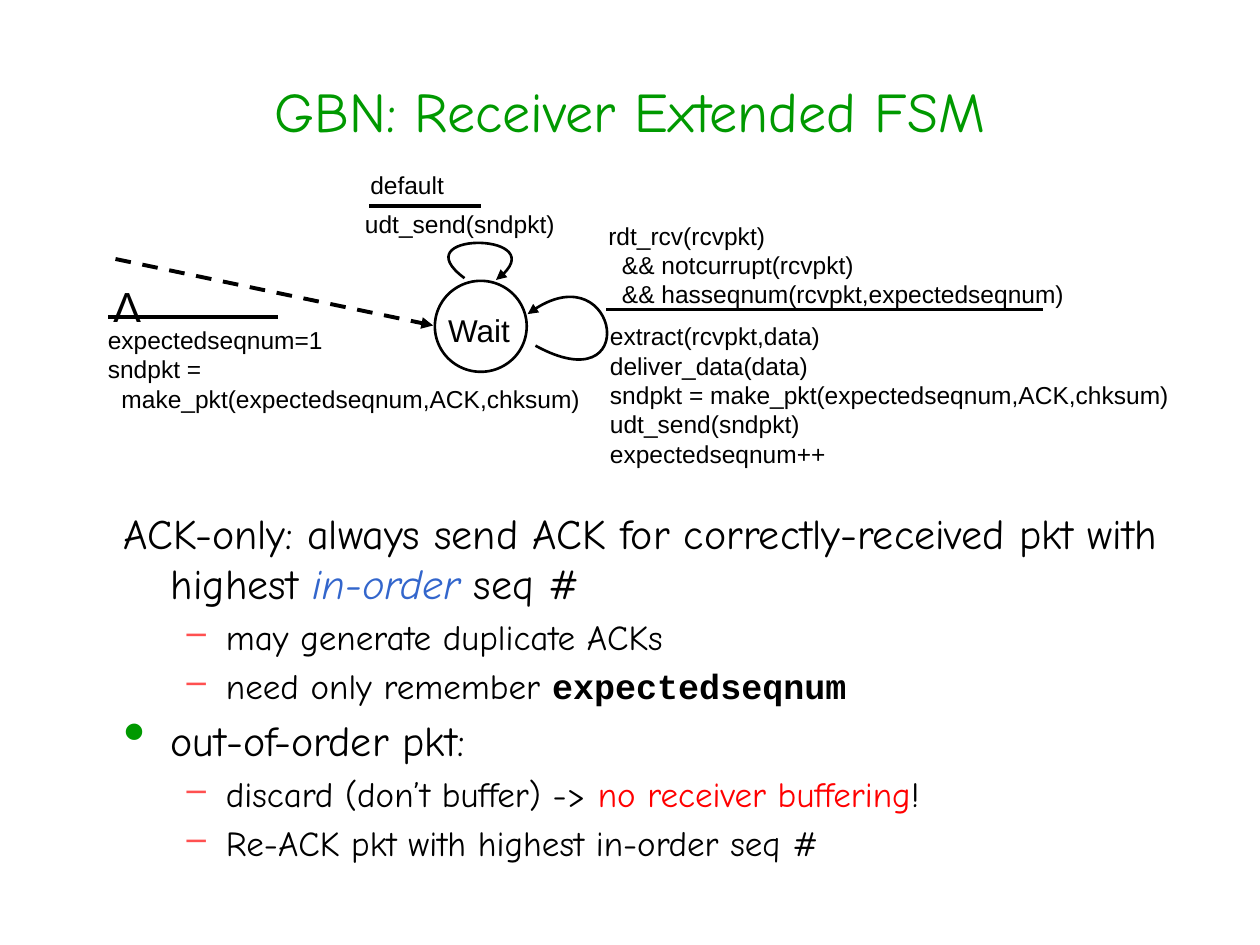
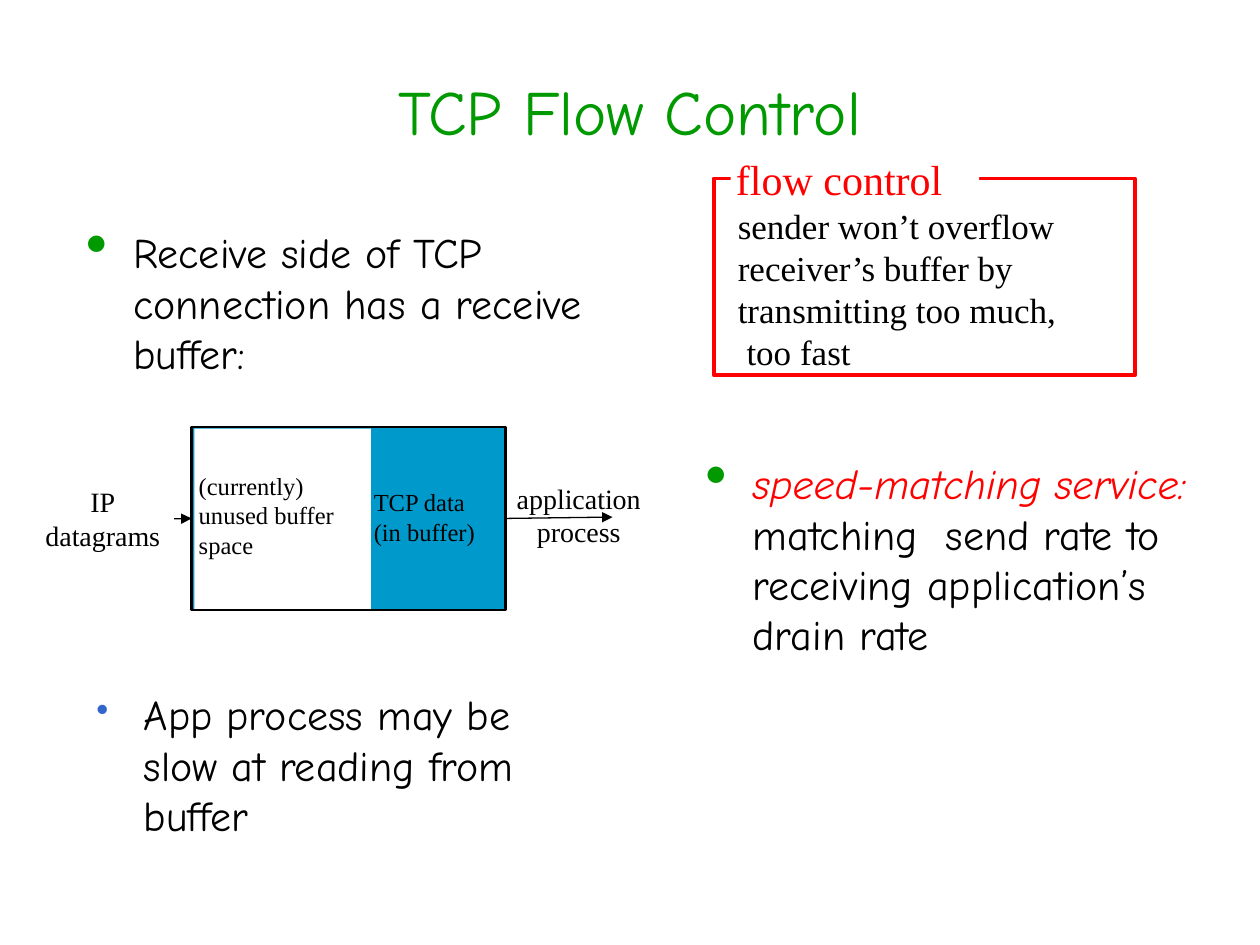
from dataclasses import dataclass
from typing import NamedTuple, Optional, Sequence, Union

from lxml.etree import SubElement
from pptx import Presentation
from pptx.dml.color import RGBColor
from pptx.enum.dml import MSO_LINE
from pptx.enum.shapes import MSO_CONNECTOR, MSO_SHAPE
from pptx.enum.text import MSO_ANCHOR, PP_ALIGN
from pptx.oxml.ns import qn
from pptx.shapes.autoshape import Shape
from pptx.shapes.connector import Connector
from pptx.slide import Slide
from pptx.util import Pt

BLACK = RGBColor(0x00, 0x00, 0x00)
WHITE = RGBColor(0xFF, 0xFF, 0xFF)
GREEN = RGBColor(0x00, 0x99, 0x00)
BLUE = RGBColor(0x33, 0x66, 0xCC)
CYAN = RGBColor(0x00, 0x99, 0xCC)
RED = RGBColor(0xFF, 0x00, 0x00)
CORAL = RGBColor(0xFF, 0x50, 0x50)

COMIC, SANS, SERIF, MONO = "Comic Neue", "Arial", "Times New Roman", "Courier New"


class Box(NamedTuple):
    left: float
    top: float
    width: float
    height: float


class Spot(NamedTuple):
    x: float
    y: float


class Run(NamedTuple):
    text: str
    color: Optional[RGBColor] = None
    italic: bool = False
    bold: bool = False
    font: Optional[str] = None


class Mark(NamedTuple):
    char: str
    color: RGBColor
    percent: int = 100


@dataclass(frozen=True)
class Para:
    runs: Sequence[Union[str, Run]]
    margin: float = 0
    hang: float = 0
    mark: Optional[Mark] = None
    size: Optional[float] = None
    gap: float = 0  # space before, as a share of the text size


TITLE = Box(54, 18, 612, 90)
DOT = Mark("•", GREEN, 150)
SMALL_DOT = Mark("•", BLUE, 85)
DASH = Mark("–", CORAL)


def point(*runs: Union[str, Run], mark: Optional[Mark] = DOT) -> Para:
    return Para(runs, 27, 27, mark, 24, 0.2)


def detail(*runs: Union[str, Run]) -> Para:
    return Para(runs, 58.5, 22.5, DASH, 20, 0.2)


def inset(text: str, margin: float) -> Para:
    return Para([text], margin)


def set_mark(props, mark: Mark) -> None:
    color = SubElement(props, qn("a:buClr"))
    SubElement(color, qn("a:srgbClr"), val=str(mark.color))
    SubElement(props, qn("a:buSzPct"), val=str(mark.percent * 1000))
    SubElement(props, qn("a:buChar"), char=mark.char)


def write(slide: Slide, box: Box, paras: Sequence[Union[str, Para]], *,
          font: str = COMIC, size: float = 24, color: RGBColor = BLACK,
          center: bool = False, middle: bool = False,
          fill: Optional[RGBColor] = None) -> Shape:
    shape = slide.shapes.add_textbox(*map(Pt, box))
    if fill is not None:
        shape.fill.solid()
        shape.fill.fore_color.rgb = fill
    frame = shape.text_frame
    frame.word_wrap = not center
    frame.vertical_anchor = MSO_ANCHOR.MIDDLE if middle else MSO_ANCHOR.TOP
    for i, item in enumerate(paras):
        para = Para([item]) if isinstance(item, str) else item
        line = frame.add_paragraph() if i else frame.paragraphs[0]
        line.alignment = PP_ALIGN.CENTER if center else PP_ALIGN.LEFT
        points = para.size or size
        line.space_before = Pt(points * para.gap)
        props = line._p.get_or_add_pPr()
        props.set("marL", str(Pt(para.margin)))
        props.set("indent", str(-Pt(para.hang)))
        if para.mark:
            set_mark(props, para.mark)
        for part in para.runs:
            spec = Run(part) if isinstance(part, str) else part
            run = line.add_run()
            run.text = spec.text
            run.font.name = spec.font or font
            run.font.size = Pt(points)
            run.font.bold = spec.bold
            run.font.italic = spec.italic
            run.font.color.rgb = color if spec.color is None else spec.color
    return shape


def block(slide: Slide, box: Box, fill: RGBColor, line: Optional[RGBColor] = None,
          width: float = 1.5, kind: MSO_SHAPE = MSO_SHAPE.RECTANGLE) -> Shape:
    shape = slide.shapes.add_shape(kind, *map(Pt, box))
    shape.shadow.inherit = False
    shape.fill.solid()
    shape.fill.fore_color.rgb = fill
    if line is None:
        shape.line.fill.background()
    else:
        shape.line.color.rgb = line
        shape.line.width = Pt(width)
    return shape


def tip(shape: Union[Shape, Connector]) -> None:
    """Put an arrowhead on the far end of a line."""
    SubElement(shape.element.spPr.find(qn("a:ln")), qn("a:tailEnd"), type="triangle")


def link(slide: Slide, start: Spot, end: Spot, width: float,
         arrow: bool = False, dashed: bool = False) -> Connector:
    line = slide.shapes.add_connector(MSO_CONNECTOR.STRAIGHT, *map(Pt, start + end))
    line.line.color.rgb = BLACK
    line.line.width = Pt(width)
    if dashed:
        line.line.dash_style = MSO_LINE.DASH
    if arrow:
        tip(line)
    SubElement(line.element.spPr, qn("a:effectLst"))
    return line


def loop(slide: Slide, start: Spot, *rest: Spot) -> None:
    """Draw an arrow along a Bezier curve: start, two controls, end."""
    outline = slide.shapes.build_freeform(Pt(start.x), Pt(start.y))
    outline.add_line_segments([(Pt(x), Pt(y)) for x, y in rest], close=False)
    shape = outline.convert_to_shape()
    track = next(shape.element.iter(qn("a:path")))
    curve = SubElement(track, qn("a:cubicBezTo"))
    for step in track.findall(qn("a:lnTo")):
        curve.append(step[0])
        track.remove(step)
    shape.shadow.inherit = False
    shape.fill.background()
    shape.line.color.rgb = BLACK
    shape.line.width = Pt(1.5)
    tip(shape)


def start_slide(deck, title: str, size: float) -> Slide:
    slide = deck.slides.add_slide(deck.slide_layouts[6])
    write(slide, TITLE, [title], size=size, color=GREEN, center=True, middle=True)
    return slide


def draw_fsm(deck) -> None:
    slide = start_slide(deck, "GBN: Receiver Extended FSM", 32)
    write(slide, Box(63.5, 286.5, 641.5, 224.5), [
        point("ACK-only: always send ACK for correctly-received pkt with highest ",
              Run("in-order ", BLUE, italic=True), "seq #", mark=None),
        detail("may generate duplicate ACKs"),
        detail("need only remember ", Run("expectedseqnum", bold=True, font=MONO)),
        point("out-of-order pkt:"),
        detail("discard (don’t buffer) -> ", Run("no receiver buffering", RED), "!"),
        detail("Re-ACK pkt with highest in-order seq #"),
    ])

    block(slide, Box(248.5, 160.5, 52.5, 52), WHITE, BLACK, kind=MSO_SHAPE.OVAL)
    write(slide, Box(242, 174, 63.5, 19), ["Wait"], font=SANS, size=18, center=True)
    link(slide, Spot(66, 148), Spot(247.5, 186), 2.25, arrow=True, dashed=True)
    loop(slide, Spot(306, 197.5), Spot(367, 231), Spot(353, 140.5), Spot(301.5, 179.5))
    loop(slide, Spot(265.5, 159), Spot(229.5, 132.5), Spot(320.5, 132.5), Spot(283.5, 160))

    for left, right, y, width in ((211, 275, 117.5, 2.25), (346.5, 596, 177, 1.5),
                                  (62, 159, 181, 2.25)):
        link(slide, Spot(left, y), Spot(right, y), width)

    labels = (
        (Box(201.5, 116, 127.5, 24.5), ["udt_send(sndpkt)"]),
        (Box(204.5, 93.5, 70, 20), ["default"]),
        (Box(340.5, 122.5, 281, 45), [
            "rdt_rcv(rcvpkt)",
            inset("&& notcurrupt(rcvpkt)", 7.8),
            inset("&& hasseqnum(rcvpkt,expectedseqnum)", 7.8)]),
        (Box(341.5, 180, 340, 68), [
            "extract(rcvpkt,data)",
            "deliver_data(data)",
            "sndpkt = make_pkt(expectedseqnum,ACK,chksum)",
            "udt_send(sndpkt)",
            "expectedseqnum++"]),
        (Box(54.5, 182, 300, 77), [
            "expectedseqnum=1",
            "sndpkt =",
            inset("make_pkt(expectedseqnum,ACK,chksum)", 7.8)]),
    )
    for box, lines in labels:
        write(slide, box, lines, font=SANS, size=14)
    write(slide, Box(57.5, 157, 32, 27), ["Λ"], font=SANS)


def draw_flow(deck) -> None:
    slide = start_slide(deck, "TCP Flow Control", 36)
    write(slide, Box(42, 126, 300, 102),
          [point("Receive side of TCP connection has a receive buffer:")])
    write(slide, Box(396, 258, 300, 228), [
        point(Run("speed-matching service:", RED, italic=True),
              " matching  send rate to receiving application’s drain rate")])
    write(slide, Box(48, 390, 300, 102),
          [point("App process may be slow at reading from buffer", mark=SMALL_DOT)])

    block(slide, Box(408, 102, 240.5, 112.5), WHITE, RED, 2.25)
    write(slide, Box(414.5, 113.5, 226, 103), [
        "sender won’t overflow", "receiver’s buffer by", "transmitting too much,",
        inset("too fast", 5)], font=SERIF, size=20)
    block(slide, Box(417.5, 87, 142, 28), WHITE)
    write(slide, Box(413.5, 84, 149, 36), ["flow control"], font=SERIF, color=RED)

    buffer = block(slide, Box(109.5, 244, 179.5, 104.5), CYAN, BLACK)
    source = write(slide, Box(18, 273.5, 81.5, 46), ["IP", "datagrams"],
                   font=SERIF, size=16, center=True, fill=WHITE)
    block(slide, Box(111, 245, 101, 103), WHITE)
    inflow = link(slide, Spot(99.5, 296), Spot(109.5, 296), 0.75, arrow=True)
    inflow.begin_connect(source, 3)
    inflow.end_connect(buffer, 1)
    write(slide, Box(206.5, 275, 84, 41), ["TCP data", "(in buffer)"],
          font=SERIF, size=14)
    write(slide, Box(106.5, 265.5, 107.5, 57.5),
          ["(currently)", "unused buffer", "space"], font=SERIF, size=14)
    outflow = link(slide, Spot(289, 296), Spot(350, 295.5), 0.75, arrow=True)
    outflow.begin_connect(buffer, 3)
    write(slide, Box(287.5, 271.5, 86.5, 46), ["application", "process"],
          font=SERIF, size=16, center=True)


def main() -> None:
    deck = Presentation()
    deck.slide_width, deck.slide_height = Pt(720), Pt(540)
    draw_fsm(deck)
    draw_flow(deck)
    deck.save("out.pptx")


if __name__ == "__main__":
    main()
